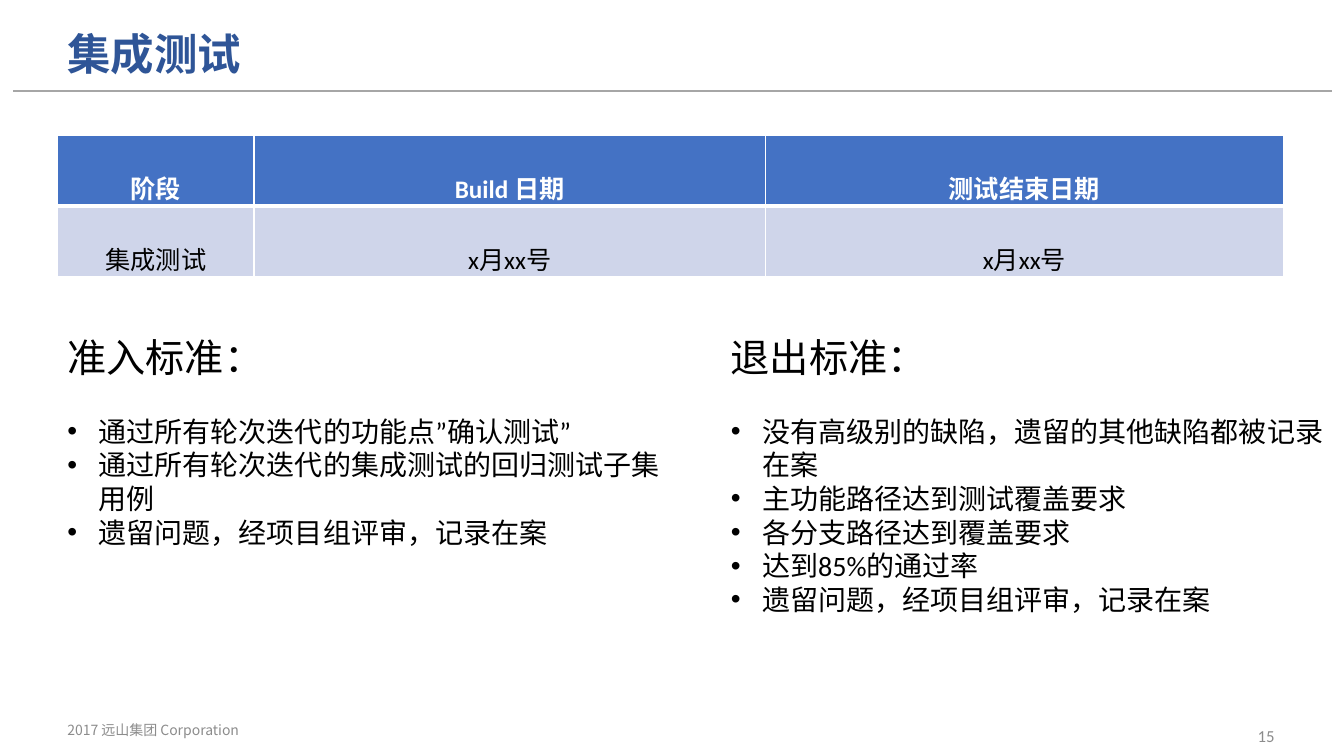
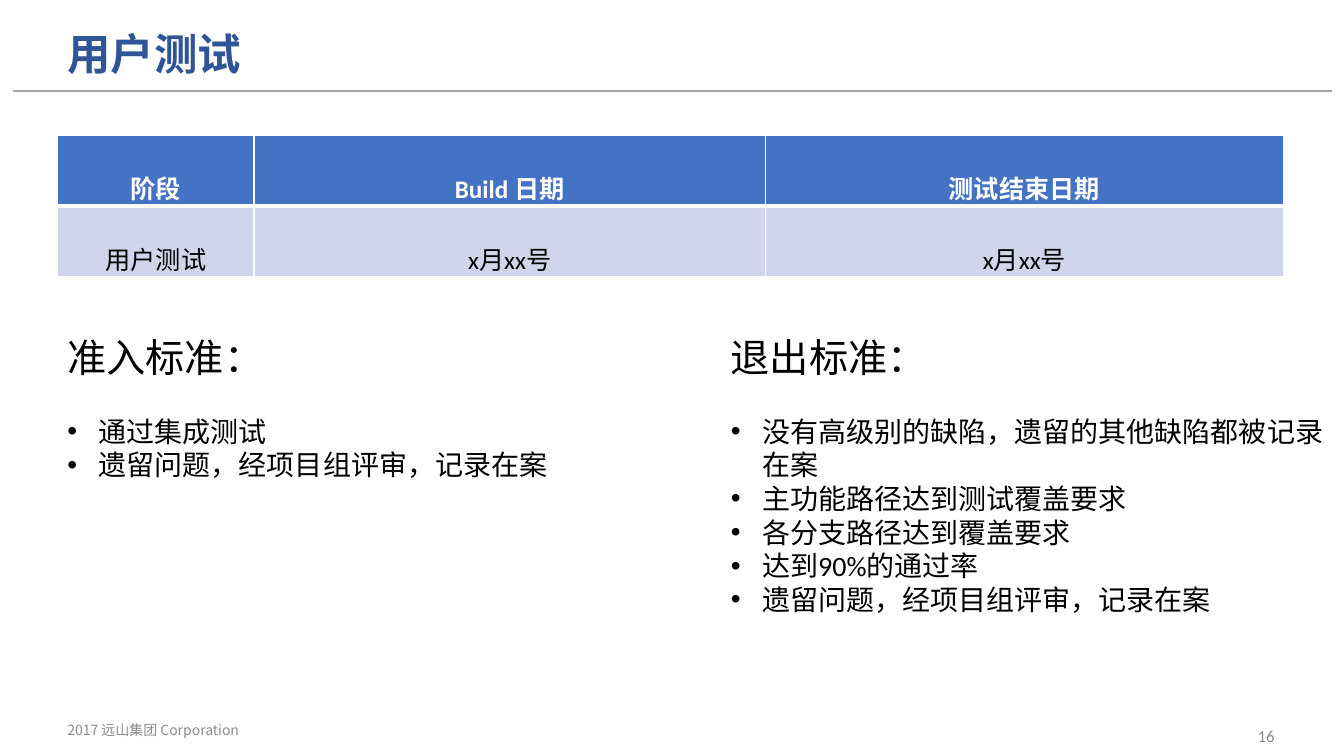
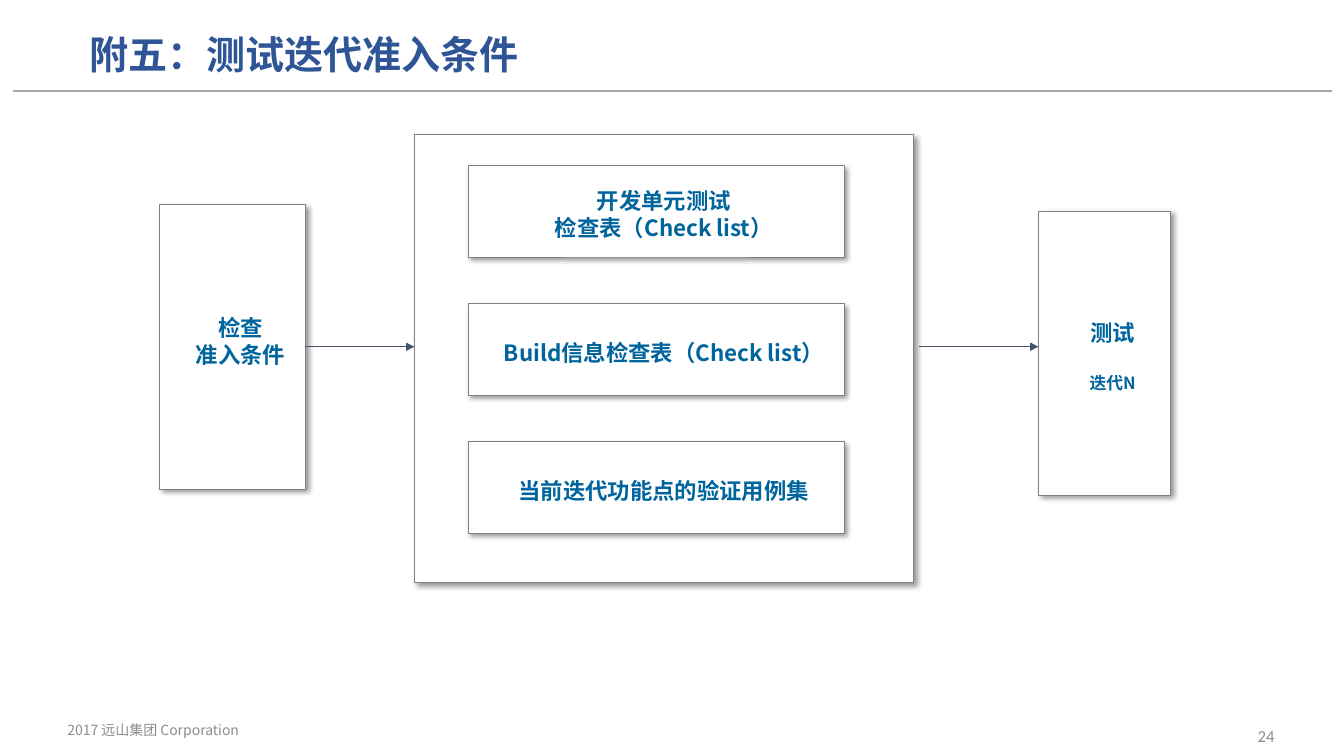
from dataclasses import dataclass

from lxml import etree
from pptx import Presentation
from pptx import util as u
from pptx.dml.color import RGBColor
from pptx.enum import shapes, text
from pptx.oxml.ns import qn

In, Pt = u.Inches, u.Pt
LEFT, MID, RIGHT = text.PP_ALIGN.LEFT, text.PP_ALIGN.CENTER, text.PP_ALIGN.RIGHT
ANCHOR = text.MSO_ANCHOR


@dataclass(frozen=True)
class Theme:
    sans: str = "Noto Sans CJK SC"
    latin: str = "Calibri"
    title: str = "2F5597"
    rule: str = "A6A6A6"
    muted: str = "8C8C8C"
    ink: str = "000000"
    white: str = "FFFFFF"
    head: str = "4472C4"
    body: str = "CFD5EA"
    edge: str = "808080"
    label: str = "00649D"
    arrow: str = "44546A"
    big: float = 31
    mid: float = 28
    item: float = 20
    cell: float = 18
    box: float = 16
    small: float = 12
    foot: float = 10


T = Theme()
FOOTER = "2017 远山集团 Corporation"


def put(obj, **vals):
    for key, val in vals.items():
        setattr(obj, key, val)


def rgb(code):
    return RGBColor.from_string(code)


def sub(parent, tag, **attrs):
    return etree.SubElement(parent, qn(tag), {k: str(v) for k, v in attrs.items()})


def shade(effects):
    """Fill an effect list with the soft shadow the deck uses."""
    outer = sub(effects, "a:outerShdw", blurRad=Pt(4), dist=Pt(3),
                dir=45 * 60000, algn="tl", rotWithShape=0)
    sub(sub(outer, "a:srgbClr", val="000000"), "a:alpha", val=40000)


def write(para, words, size, color, face=T.latin, bold=False, **form):
    """Write one run; the face serves both Latin and East Asian letters."""
    run = para.add_run()
    run.text = words
    put(run.font, size=Pt(size), bold=bold, name=face)
    run.font.color.rgb = rgb(color)
    latin = run._r.get_or_add_rPr().find(qn("a:latin"))
    latin.addnext(latin.makeelement(qn("a:ea"), {"typeface": face}))
    put(para, **form)
    return latin


def area(slide, box, anchor=ANCHOR.TOP):
    frame = slide.shapes.add_textbox(*map(In, box)).text_frame
    put(frame, word_wrap=True, vertical_anchor=anchor)
    return frame


def line(slide, start, end, color, width):
    link = slide.shapes.add_connector(
        shapes.MSO_CONNECTOR.STRAIGHT, *map(In, start + end))
    link.line.color.rgb = rgb(color)
    link.line.width = Pt(width)
    sub(link._element.spPr, "a:effectLst")
    return link


def page(deck, title, number, left=0.57, size=T.big):
    """Add a slide with its title, rule and footer."""
    slide = deck.slides.add_slide(deck.slide_layouts[5])
    line(slide, (0.13, 0.9), (13.21, 0.9), T.rule, 1.5)
    head = slide.shapes.title
    put(head, left=In(left), top=In(0.17), width=In(9.53), height=In(0.79))
    put(head.text_frame, word_wrap=True, vertical_anchor=ANCHOR.MIDDLE)
    latin = write(head.text_frame.paragraphs[0], title, size, T.title, T.sans,
                  True, alignment=LEFT, line_spacing=0.9)
    glow = latin.makeelement(qn("a:effectLst"), {})
    latin.addprevious(glow)
    shade(glow)
    foot = area(slide, (0.57, 7.04, 3, 0.4), ANCHOR.MIDDLE)
    write(foot.paragraphs[0], FOOTER, T.foot, T.muted, T.sans)
    num = area(slide, (9.74, 7.1, 3, 0.4), ANCHOR.MIDDLE)
    write(num.paragraphs[0], str(number), T.small, T.muted, alignment=RIGHT)
    return slide


def edge(cell, **widths):
    """Give a cell white borders: L, R, T, B widths in points."""
    props = cell._tc.get_or_add_tcPr()
    for place, (side, width) in enumerate(widths.items()):
        ln = props.makeelement(qn("a:ln" + side), {"w": str(Pt(width))})
        sub(sub(ln, "a:solidFill"), "a:srgbClr", val=T.white)
        props.insert(place, ln)


def dates(slide, box, rows):
    table = slide.shapes.add_table(len(rows), 3, *map(In, box)).table
    for col, width in zip(table.columns, (1.95, 5.07, 5.14)):
        col.width = In(width)
    for r, row in enumerate(rows):
        top = r == 0
        for c, words in enumerate(row):
            cell = table.cell(r, c)
            cell.fill.solid()
            cell.fill.fore_color.rgb = rgb(T.head if top else T.body)
            put(cell, vertical_anchor=ANCHOR.BOTTOM, margin_bottom=0)
            edge(cell, L=1, R=1, T=1 if top else 3, B=3 if top else 1)
            write(cell.text_frame.paragraphs[0], words, T.cell,
                  T.white if top else T.ink, bold=top, alignment=MID)


def rules(slide, box, head, items):
    """Place a heading with its bulleted criteria."""
    frame = area(slide, box)
    write(frame.paragraphs[0], head, T.mid, T.ink, space_after=Pt(24))
    for item in items:
        para = frame.add_paragraph()
        write(para, item, T.item, T.ink)
        props = para._p.get_or_add_pPr()
        props.set("marL", str(In(0.31)))
        props.set("indent", str(-In(0.31)))
        sub(props, "a:buFont", typeface="Arial")
        sub(props, "a:buChar", char="•")


def stage(deck, name, number, entry, rate):
    """Build a test stage slide: dates above, entry and exit criteria below."""
    slide = page(deck, name, number)
    dates(slide, (0.57, 1.34, 12.16, 1.4), [
        ("阶段", "Build 日期", "测试结束日期"),
        (name, "x月xx号", "x月xx号")])
    last = "遗留问题，经项目组评审，记录在案"
    leave = ["没有高级别的缺陷，遗留的其他缺陷都被记录在案",
             "主功能路径达到测试覆盖要求", "各分支路径达到覆盖要求",
             f"达到{rate}%的通过率"]
    for left, head, items in ((0.57, "准入标准：", entry),
                              (7.15, "退出标准：", leave)):
        rules(slide, (left, 3.26, 6.19, 3.23), head, items + [last])


def card(slide, box, *lines, base=0.1):
    """Draw a shadowed box; each line is (words, size, space before)."""
    shape = slide.shapes.add_shape(shapes.MSO_SHAPE.RECTANGLE, *map(In, box))
    shape.fill.solid()
    shape.fill.fore_color.rgb = rgb(T.white)
    shape.line.color.rgb = rgb(T.edge)
    shape.line.width = Pt(0.25)
    shape.shadow.inherit = False
    shade(shape._element.spPr.find(qn("a:effectLst")))
    frame = shape.text_frame
    put(frame, word_wrap=True, vertical_anchor=ANCHOR.MIDDLE,
        margin_left=In(0.16), margin_top=In(0.16), margin_right=0,
        margin_bottom=In(base))
    for i, (words, size, gap) in enumerate(lines):
        para = frame.add_paragraph() if i else frame.paragraphs[0]
        write(para, words, size, T.label, T.sans, True, alignment=MID,
              line_spacing=Pt(size * 1.2), space_before=Pt(gap))
    return shape


def arrow(slide, start, end):
    link = line(slide, start, end, T.arrow, 0.5)
    sub(link.line._get_or_add_ln(), "a:tailEnd", type="triangle")
    return link


def checks(slide, box, groups):
    """Draw the outer box and an even stack of check cards in it."""
    left, top = box[:2]
    card(slide, box)
    for i, group in enumerate(groups):
        card(slide, (left + 0.53, top + 0.31 + 1.37 * i, 3.73, 0.91),
             *((words, T.box, 0) for words in group))


def flow(deck):
    slide = page(deck, "附五：测试迭代准入条件", 24, left=0.79, size=27.9)
    checks(slide, (4.11, 1.33, 4.95, 4.45), [
        ("开发单元测试", "检查表（Check list）"),
        ("Build信息检查表（Check list）",),
        ("当前迭代功能点的验证用例集",)])
    gate = card(slide, (1.58, 2.03, 1.45, 2.82), ("检查", T.box, 0),
                ("准入条件", T.box, 0), base=0.28)
    card(slide, (10.3, 2.09, 1.31, 2.82), ("测试", T.box, 0),
         ("迭代N", T.small, 19))
    mid = 3.44
    arrow(slide, (3.03, mid), (4.11, mid)).begin_connect(gate, 3)
    arrow(slide, (9.12, mid), (10.3, mid))


def main():
    deck = Presentation()
    put(deck, slide_width=In(13.33), slide_height=In(7.5))
    stage(deck, "集成测试", 15, ["通过所有轮次迭代的功能点”确认测试”",
                             "通过所有轮次迭代的集成测试的回归测试子集用例"], 85)
    stage(deck, "用户测试", 16, ["通过集成测试"], 90)
    flow(deck)
    deck.save("out.pptx")


if __name__ == "__main__":
    main()
